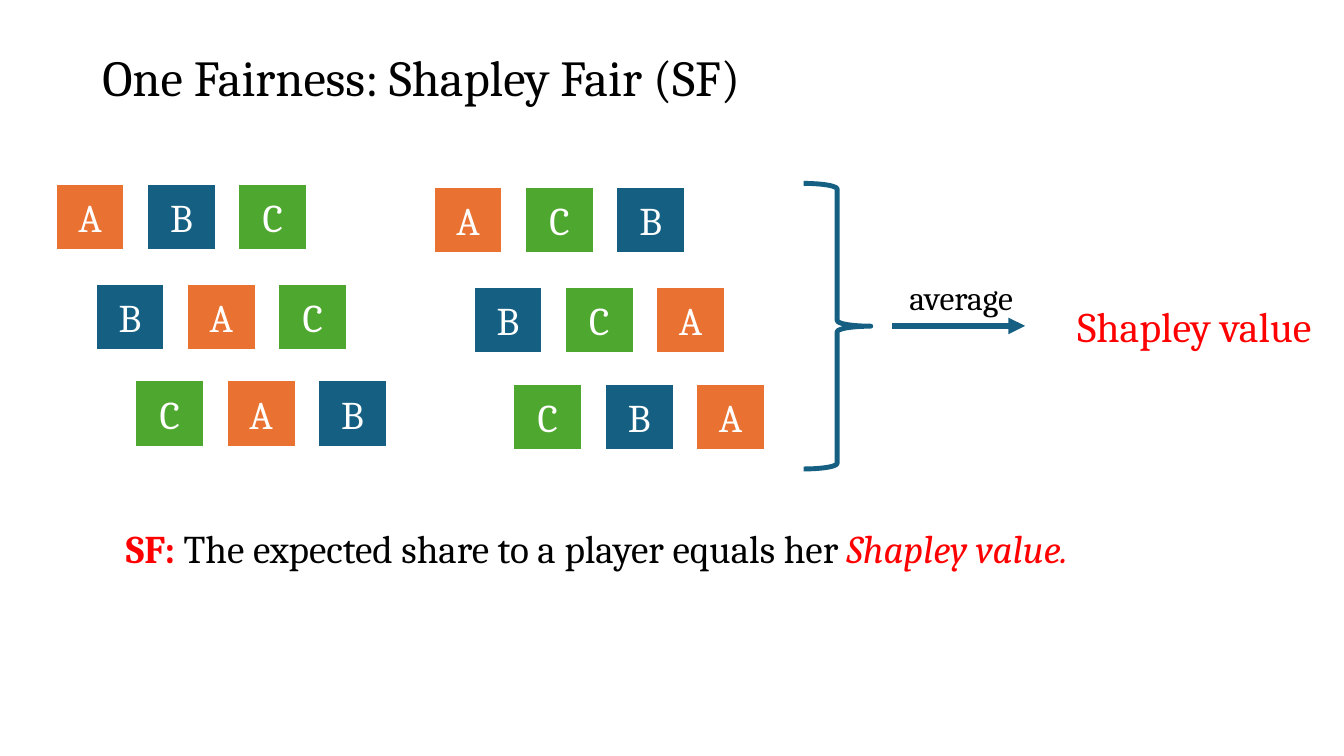
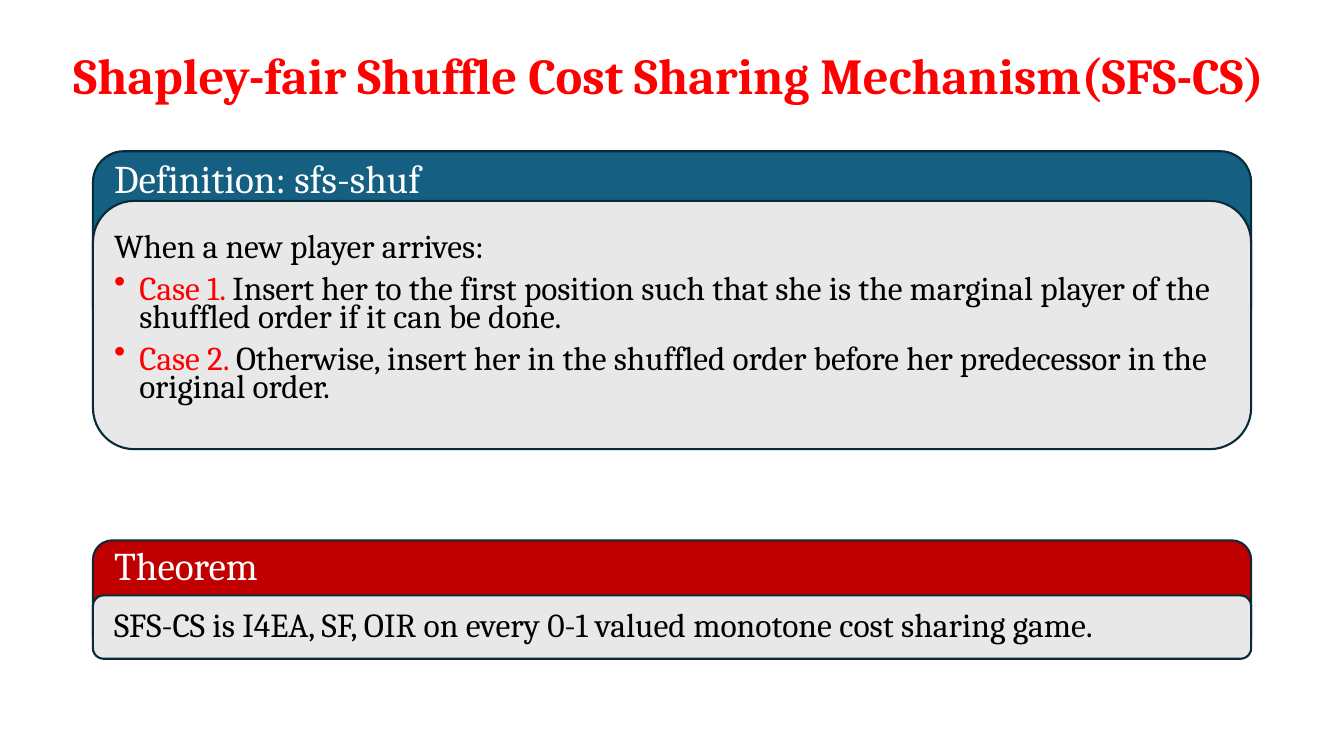
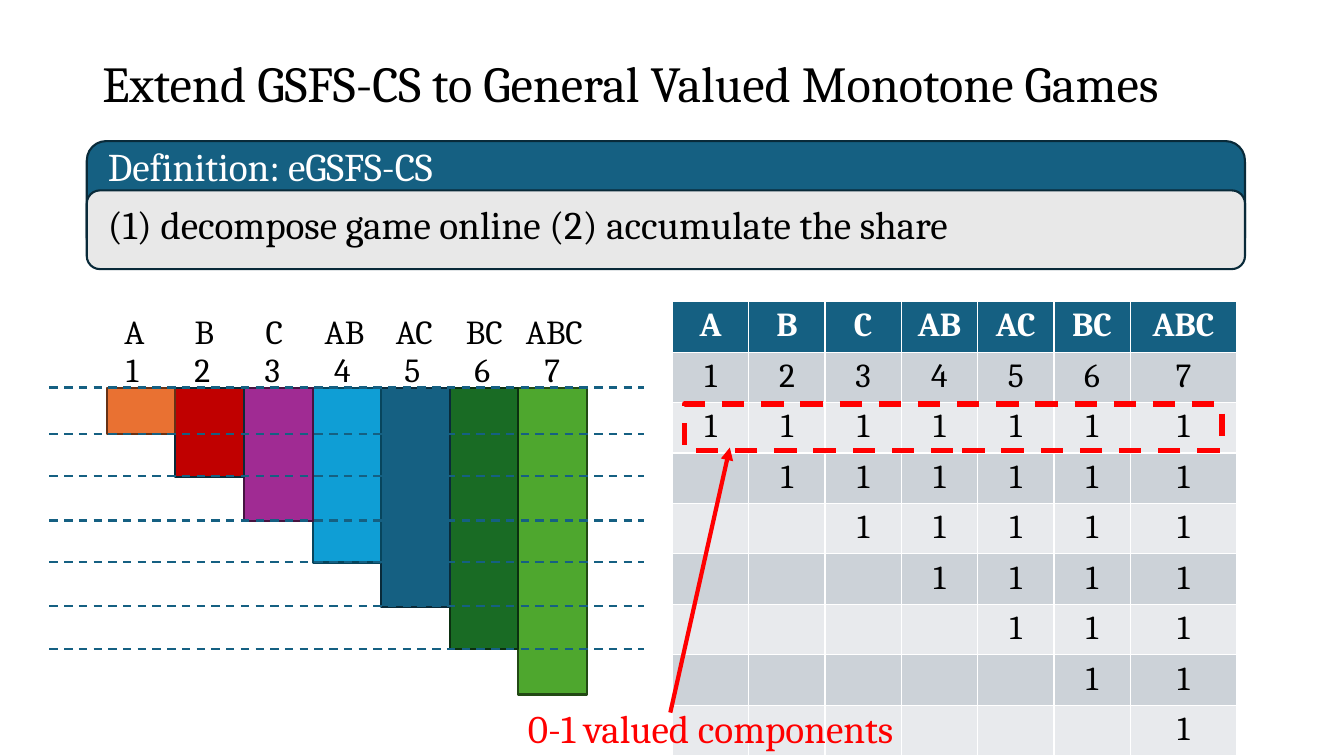
from dataclasses import dataclass
from typing import NamedTuple

from lxml import etree
from pptx import Presentation, util as u
from pptx.dml.color import RGBColor
from pptx.enum import dml, shapes, text
from pptx.oxml.ns import qn

Pt = u.Pt
FONT = "Cambria"
HUES = {
    "black": "000000", "white": "FFFFFF", "red": "FF0000", "crimson": "C00000",
    "blue": "156082", "navy": "092A39", "orange": "E97132", "green": "4EA72E",
    "grey": "E8E8E8", "dark": "CCD2D8", "light": "E8EAED",
    "plum": "A02B93", "sky": "0F9ED5", "forest": "196B24",
    "rust": "663216", "wine": "461340", "deep": "07455D",
    "pine": "0B2F10", "moss": "224914",
}
LEFT, MID = text.PP_ALIGN.LEFT, text.PP_ALIGN.CENTER
KIND = shapes.MSO_SHAPE


class Run(NamedTuple):
    words: str
    hue: str = "black"
    bold: bool = False
    slant: bool = False


class Box(NamedTuple):
    x: float
    y: float
    w: float
    h: float


class Bar(NamedTuple):
    name: str
    high: float
    fill: str
    edge: str


@dataclass
class Para:
    runs: list[Run]
    size: float = 28
    align: int = LEFT
    space: float = 1.0
    before: float = 0
    dot: str = ""


@dataclass
class Panel:
    """A titled head with a grey body overlapping its lower part."""
    head: Box
    hue: str
    name: str
    name_y: float
    body_y: float
    body_h: float
    text_y: float
    paras: list[Para]


def tint(name: str) -> RGBColor:
    return RGBColor.from_string(HUES[name])


def place(box: Box) -> list[u.Length]:
    return [Pt(v) for v in box]


def fill_text(frame, paras: list[Para]) -> None:
    frame.word_wrap = True
    for i, para in enumerate(paras):
        p = frame.paragraphs[0] if i == 0 else frame.add_paragraph()
        if para.dot:
            props = p._p.get_or_add_pPr()
            props.set("marL", str(Pt(18)))
            props.set("indent", str(-Pt(18)))
            ink = etree.SubElement(props, qn("a:buClr"))
            etree.SubElement(ink, qn("a:srgbClr")).set("val", HUES[para.dot])
            etree.SubElement(props, qn("a:buChar")).set("char", "•")
        p.alignment = para.align
        p.line_spacing = para.space
        if i:
            p.space_before = Pt(para.before)
        for run in para.runs:
            r = p.add_run()
            r.text = run.words
            r.font.name, r.font.size = FONT, Pt(para.size)
            r.font.color.rgb = tint(run.hue)
            r.font.bold, r.font.italic = run.bold, run.slant


def add_text(slide, box: Box, *paras: Para, anchor=text.MSO_ANCHOR.TOP):
    shape = slide.shapes.add_textbox(*place(box))
    fill_text(shape.text_frame, list(paras))
    shape.text_frame.vertical_anchor = anchor
    return shape


def add_title(slide, box: Box, run: Run) -> None:
    add_text(slide, box, Para([run], 36, space=0.9), anchor=text.MSO_ANCHOR.MIDDLE)


def add_shape(slide, kind, box: Box, fill: str, edge: str, width: float):
    """Draw a preset shape; an empty fill name leaves it open."""
    shape = slide.shapes.add_shape(kind, *place(box))
    shape.shadow.inherit = False
    if fill:
        shape.fill.solid()
        shape.fill.fore_color.rgb = tint(fill)
    else:
        shape.fill.background()
    shape.line.color.rgb = tint(edge)
    shape.line.width = Pt(width)
    return shape


def add_line(slide, x: float, y: float, x2: float, y2: float,
             hue: str, width: float, arrow: bool = False):
    """Draw a dashed line, or a solid one with an arrowhead."""
    line = slide.shapes.add_connector(
        shapes.MSO_CONNECTOR.STRAIGHT, Pt(x), Pt(y), Pt(x2), Pt(y2))
    line.line.color.rgb = tint(hue)
    line.line.width = Pt(width)
    if arrow:
        etree.SubElement(line.line._get_or_add_ln(), qn("a:tailEnd")).set("type", "triangle")
    else:
        line.line.dash_style = dml.MSO_LINE.DASH
    etree.SubElement(line._element.spPr, qn("a:effectLst"))
    return line


def add_panel(slide, panel: Panel) -> None:
    head = panel.head
    body = Box(head.x, panel.body_y, head.w, panel.body_h)
    for box, hue in ((head, panel.hue), (body, "grey")):
        add_shape(slide, KIND.ROUNDED_RECTANGLE, box, hue, "navy", 1.5)
    x = head.x + 8
    add_text(slide, Box(x, panel.name_y, 366, 41), Para([Run(panel.name, "white")]))
    add_text(slide, Box(x, panel.text_y, 828, panel.body_h), *panel.paras)


def add_orders(slide, left: float, tops: list[float], orders: list[str]) -> None:
    """Draw rows of player tiles, each row shifted right of the one above."""
    hues = {"A": "orange", "B": "blue", "C": "green"}
    for row, (top, order) in enumerate(zip(tops, orders)):
        for col, name in enumerate(order):
            box = Box(left + 28.5 * row + 65.25 * col, top, 49.7, 48.2)
            tile = add_shape(slide, KIND.RECTANGLE, box, hues[name], "white", 2)
            fill_text(tile.text_frame, [Para([Run(name, "white")], align=MID)])
            tile.text_frame.vertical_anchor = text.MSO_ANCHOR.MIDDLE


def draw_fair(slide) -> None:
    add_title(slide, Box(66, 5, 828, 104.4), Run("One Fairness: Shapley Fair (SF)"))
    add_text(slide, Box(82.8, 375, 828, 42), Para([
        Run("SF: ", "red", bold=True),
        Run("The expected share to a player equals her "),
        Run("Shapley value.", "red", slant=True)], space=0.9))
    tops = [131, 202.3, 271.5]
    add_orders(slide, 39.5, tops, ["ABC", "BAC", "CAB"])
    add_orders(slide, 309.5, [t + 2.2 for t in tops], ["ACB", "BCA", "CBA"])
    add_shape(slide, KIND.RIGHT_BRACE, Box(574, 131, 48, 204), "", "blue", 3.5)
    value = add_text(slide, Box(732.2, 211, 242, 43.6),
                     Para([Run("Shapley value", "red")], 30, MID))
    arrow = add_line(slide, 637.2, 232.8, 732.2, 232.8, "blue", 4, arrow=True)
    arrow.end_connect(value, 1)
    add_text(slide, Box(618.5, 194.4, 136, 36), Para([Run("average")], 24, MID))


def draw_shuffle(slide) -> None:
    add_title(slide, Box(45.4, 3.6, 877, 104.4),
              Run("Shapley-fair Shuffle Cost Sharing Mechanism(SFS-CS)", "red", bold=True))
    cases = [
        ("Case 1. ", "Insert her to the first position such that she is the marginal "
                     "player of the shuffled order if it can be done."),
        ("Case 2. ", "Otherwise, insert her in the shuffled order before her "
                     "predecessor in the original order."),
    ]
    steps = [Para([Run("When a new player arrives:")], 23.8, space=0.7)]
    steps += [Para([Run(case, "red"), Run(rule)], 23.8, space=0.7, before=10, dot="red")
              for case, rule in cases]
    claim = Para([Run("SFS-CS is I4EA, SF, OIR on every 0-1 valued monotone "
                      "cost sharing game.")], 24, space=0.9)
    add_panel(slide, Panel(Box(66.4, 108, 827.3, 133.2), "blue", "Definition: sfs-shuf",
                           106.5, 143.5, 177.4, 165, steps))
    add_panel(slide, Panel(Box(66.4, 386, 827.3, 83), "crimson", "Theorem",
                           383, 425.3, 45.2, 431.3, [claim]))


BARS = [
    Bar("A", 33.1, "orange", "rust"),
    Bar("B", 63.4, "crimson", "navy"),
    Bar("C", 95, "plum", "wine"),
    Bar("AB", 124.6, "sky", "deep"),
    Bar("AC", 156.2, "blue", "navy"),
    Bar("BC", 186.5, "forest", "pine"),
    Bar("ABC", 218.9, "green", "moss"),
]


def add_bars(slide) -> None:
    top = 277.2
    for i, bar in reversed(list(enumerate(BARS))):
        box = Box(76.3 + 49 * i, top, 49, bar.high)
        add_shape(slide, KIND.RECTANGLE, box, bar.fill, bar.edge, 1.5)
    for drop in [0] + [bar.high for bar in BARS[:-1]]:
        add_line(slide, 35.3, top + drop - 0.4, 460, top + drop - 0.4, "blue", 1.5)
    for i, bar in enumerate(BARS):
        for words, mid, y in ((bar.name, 96, 218.9), (str(i + 1), 94.5, 246)):
            add_text(slide, Box(mid + 50 * i - 30, y, 60, 36),
                     Para([Run(words)], 24, MID))


def add_grid(slide) -> None:
    """Table of the game values and their 0-1 valued parts."""
    count = len(BARS)
    rows = [[bar.name for bar in BARS], [str(i + 1) for i in range(count)]]
    rows += [["1" if col >= row else "" for col in range(count)] for row in range(count)]
    grid = slide.shapes.add_table(
        len(rows), count, *place(Box(480.4, 215.5, 403.2, 265.5))).table
    for col in range(count):
        grid.columns[col].width = Pt(76.2 if col == count - 1 else 54.5)
    for i, row in enumerate(rows):
        grid.rows[i].height = Pt(29.5)
        for j, words in enumerate(row):
            cell = grid.cell(i, j)
            cell.fill.solid()
            cell.fill.fore_color.rgb = tint(("dark" if i % 2 else "light") if i else "blue")
            if words:
                run = Run(words, "black" if i else "white", bold=i == 0)
                fill_text(cell.text_frame, [Para([run], 24, MID)])


def draw_extend(slide) -> None:
    add_title(slide, Box(66, 9.4, 828, 104.4),
              Run("Extend GSFS-CS to General Valued Monotone Games"))
    add_grid(slide)
    add_bars(slide)
    frame = add_shape(slide, KIND.RECTANGLE, Box(489, 288.7, 383.8, 33.1), "", "red", 4)
    frame.line.dash_style = dml.MSO_LINE.DASH
    add_line(slide, 478.8, 509, 521.3, 319.7, "red", 3, arrow=True)
    add_text(slide, Box(370, 499.5, 322.5, 40.5), Para([Run("0-1 valued components", "red")]))
    steps = Para([Run("(1) decompose game online (2) accumulate the share")], space=0.9)
    add_panel(slide, Panel(Box(62, 100.8, 827.3, 83), "blue", "Definition: eGSFS-CS",
                           98, 136, 56.2, 143.3, [steps]))


def main() -> None:
    deck = Presentation()
    deck.slide_width, deck.slide_height = Pt(960), Pt(540)
    for draw in (draw_fair, draw_shuffle, draw_extend):
        draw(deck.slides.add_slide(deck.slide_layouts[6]))
    deck.save("out.pptx")


if __name__ == "__main__":
    main()
